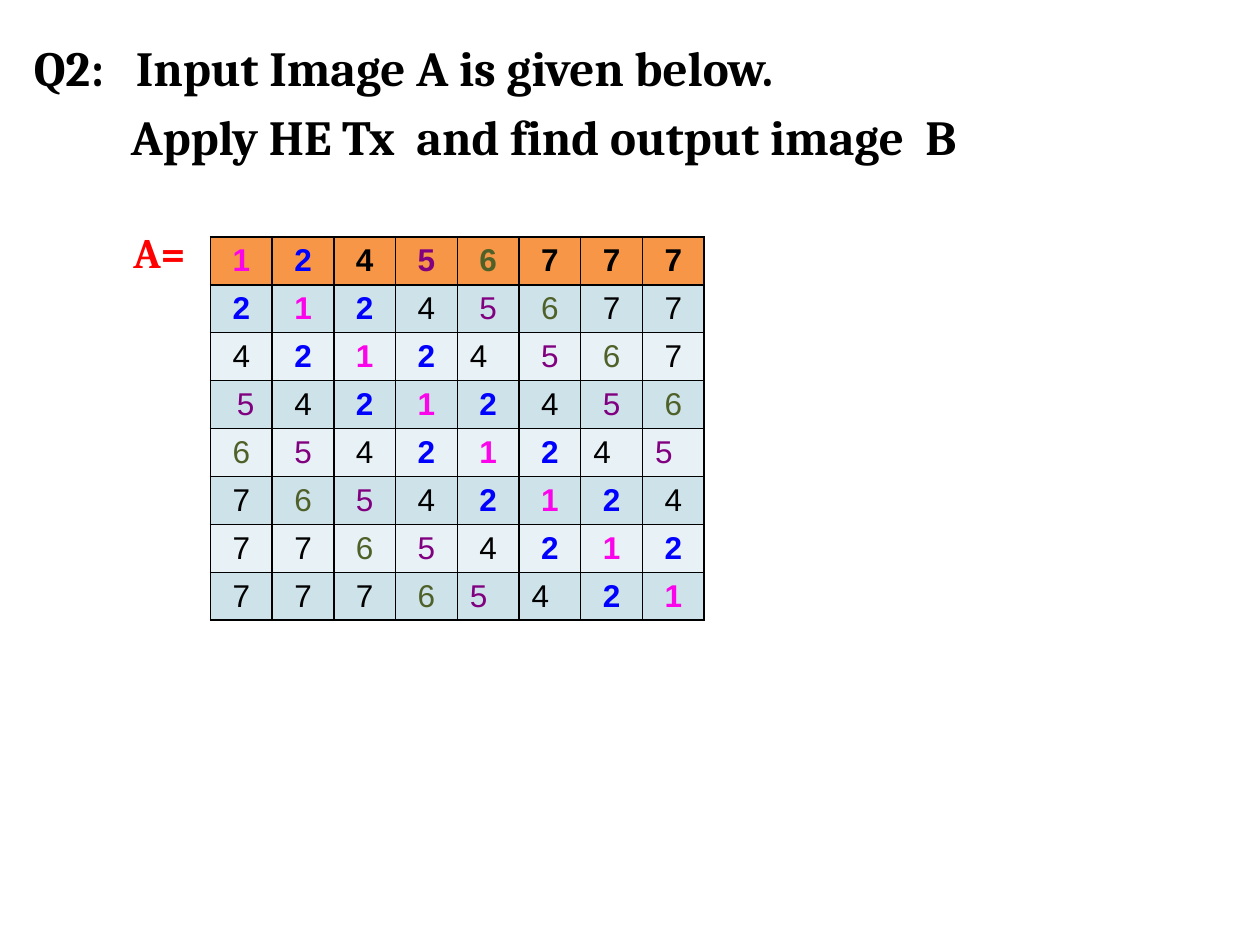
from lxml.etree import SubElement
from pptx import Presentation
from pptx.dml.color import RGBColor
from pptx.enum.text import PP_ALIGN
from pptx.oxml.ns import qn
from pptx.util import Inches, Pt

BLACK = RGBColor(0x00, 0x00, 0x00)
RED = RGBColor(0xFF, 0x00, 0x00)
MAGENTA = RGBColor(0xFC, 0x04, 0xEB)
BLUE = RGBColor(0x00, 0x00, 0xFF)
PURPLE = RGBColor(0x80, 0x00, 0x80)
OLIVE = RGBColor(0x4F, 0x61, 0x28)
ORANGE = RGBColor(0xF7, 0x96, 0x46)
BAND_DARK = RGBColor(0xCE, 0xE2, 0xEA)
BAND_LIGHT = RGBColor(0xE8, 0xF1, 0xF5)

LEVEL_COLORS = {1: MAGENTA, 2: BLUE, 5: PURPLE, 6: OLIVE}
LEFT_CELLS = {(2, 4), (4, 6), (4, 7), (7, 4), (7, 5)}
SHIFTED_CELL = (3, 0)
IMAGE_A = [
    [1, 2, 4, 5, 6, 7, 7, 7],
    [2, 1, 2, 4, 5, 6, 7, 7],
    [4, 2, 1, 2, 4, 5, 6, 7],
    [5, 4, 2, 1, 2, 4, 5, 6],
    [6, 5, 4, 2, 1, 2, 4, 5],
    [7, 6, 5, 4, 2, 1, 2, 4],
    [7, 7, 6, 5, 4, 2, 1, 2],
    [7, 7, 7, 6, 5, 4, 2, 1],
]


class QuestionSlide:
    COLUMNS, ROWS = 100, 75
    TEXT_FONT, TABLE_FONT = "Cambria", "Arial"

    def __init__(self, deck):
        self.page = deck.slides.add_slide(deck.slide_layouts[6])
        self.column = deck.slide_width / self.COLUMNS
        self.row = deck.slide_height / self.ROWS

    def area(self, left, top, width, height):
        return (int(left * self.column), int(top * self.row),
                int(width * self.column), int(height * self.row))

    def style(self, font, name, size, color, bold):
        font.name = name
        font.size = Pt(size)
        font.color.rgb = color
        font.bold = bold

    def text(self, place, lines, size, color):
        frame = self.page.shapes.add_textbox(*self.area(*place)).text_frame
        frame.word_wrap = True
        for index, (words, indent) in enumerate(lines):
            para = frame.add_paragraph() if index else frame.paragraphs[0]
            para.text = words
            if index:
                para.space_before = Pt(5.6)
            if indent:
                self.indent(para, int(indent * self.column), "\t" in words)
            for span in para.runs:
                self.style(span.font, self.TEXT_FONT, size, color, True)

    def indent(self, para, distance, hanging):
        properties = para._p.get_or_add_pPr()
        properties.set("marL", str(distance))
        properties.set("indent", str(-distance if hanging else 0))
        if hanging:
            tabs = SubElement(properties, qn("a:tabLst"))
            SubElement(tabs, qn("a:tab"), pos=str(distance), algn="l")

    def matrix(self, place, values):
        place = self.area(*place)
        table = self.page.shapes.add_table(len(values), len(values[0]), *place).table
        for row_index, row in enumerate(values):
            for column_index, level in enumerate(row):
                cell = table.cell(row_index, column_index)
                self.borders(cell)
                self.cell(cell, row_index, column_index, level)

    def cell(self, cell, row_index, column_index, level):
        position = (row_index, column_index)
        band = BAND_DARK if row_index % 2 else BAND_LIGHT
        cell.fill.solid()
        cell.fill.fore_color.rgb = band if row_index else ORANGE
        if position == SHIFTED_CELL:
            cell.margin_left = Inches(0.17)
        cell.text_frame.text = str(level)
        para = cell.text_frame.paragraphs[0]
        para.alignment = PP_ALIGN.LEFT if position in LEFT_CELLS else PP_ALIGN.CENTER
        color = LEVEL_COLORS.get(level, BLACK)
        self.style(para.runs[0].font, self.TABLE_FONT, 18, color,
                   row_index == 0 or level <= 2)

    def borders(self, cell):
        properties = cell._tc.get_or_add_tcPr()
        for side in ("a:lnL", "a:lnR", "a:lnT", "a:lnB"):
            line = SubElement(properties, qn(side), w=str(Pt(1)))
            fill = SubElement(line, qn("a:solidFill"))
            SubElement(fill, qn("a:srgbClr"), val=str(BLACK))


def main():
    deck = Presentation()
    deck.slide_width, deck.slide_height = Inches(10), Inches(7.5)
    slide = QuestionSlide(deck)
    slide.matrix((16.7, 18.8, 39.2, 30.4), IMAGE_A)
    slide.text((1.7, 2.5, 93.9, 7.5), [
        ("Q2:\tInput Image A is given below.", 8.1),
        ("Apply HE Tx  and find output image  B", 7.7),
    ], 28, BLACK)
    slide.text((9.6, 17.5, 6.2, 5.1), [("A=", 0)], 24, RED)
    deck.save("out.pptx")


if __name__ == "__main__":
    main()
